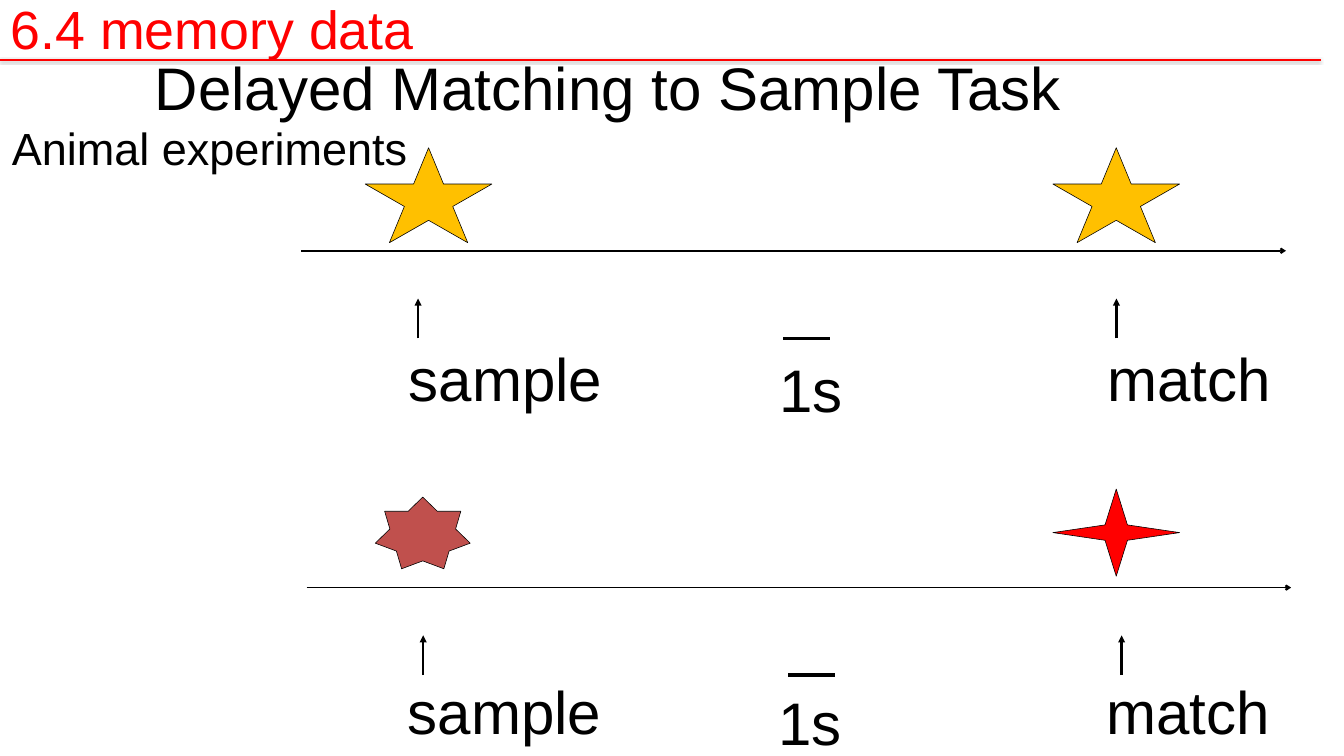
from lxml import etree
from pptx import Presentation
from pptx.dml.color import RGBColor
from pptx.enum.shapes import MSO_CONNECTOR, MSO_SHAPE
from pptx.enum.text import MSO_ANCHOR, MSO_AUTO_SIZE, PP_ALIGN
from pptx.oxml.ns import qn
from pptx.util import Cm, Pt

STRAIGHT = MSO_CONNECTOR.STRAIGHT
STAR4 = MSO_SHAPE.STAR_4_POINT
STAR5 = MSO_SHAPE.STAR_5_POINT
STAR7 = MSO_SHAPE.STAR_7_POINT
TOP = MSO_ANCHOR.TOP
FIXED = MSO_AUTO_SIZE.NONE
LEFT = PP_ALIGN.LEFT

BLACK = RGBColor(0, 0, 0)
RED = RGBColor(0xFF, 0, 0)
GOLD = RGBColor(0xFF, 0xC0, 0)
BRICK = RGBColor(0xC0, 0x50, 0x4D)


class Board:
    """Holds the slide and its style, and draws each kind of element."""

    font = "Arial"
    large = 76

    def __init__(self, slide):
        self.slide = slide

    def fill_text(self, box, text, size, color):
        frame = box.text_frame
        frame.margin_left = frame.margin_right = 0
        frame.margin_top = frame.margin_bottom = 0
        frame.word_wrap = True
        frame.auto_size = FIXED
        frame.vertical_anchor = TOP
        frame.text = text
        para = frame.paragraphs[0]
        para.alignment = LEFT
        para.font.name = self.font
        para.font.size = Pt(size)
        para.font.color.rgb = color

    def title(self, text, x, y, w, h):
        box = self.slide.shapes.title
        box.left, box.top, box.width, box.height = Cm(x), Cm(y), Cm(w), Cm(h)
        self.fill_text(box, text, self.large, BLACK)

    def text(self, text, x, y, w, h=3.23, size=large, color=BLACK):
        box = self.slide.shapes.add_textbox(Cm(x), Cm(y), Cm(w), Cm(h))
        self.fill_text(box, text, size, color)

    def line(self, x1, y1, x2, y2, width, color=BLACK, head=None, shade=False):
        link = self.slide.shapes.add_connector(
            STRAIGHT, Cm(x1), Cm(y1), Cm(x2), Cm(y2))
        link.line.width = Pt(width)
        link.line.color.rgb = color
        props = link._element.spPr
        if head:
            etree.SubElement(props.find(qn("a:ln")), qn("a:tailEnd"), type=head)
        effects = etree.SubElement(props, qn("a:effectLst"))
        if shade:
            shadow = etree.SubElement(
                effects, qn("a:outerShdw"), blurRad=str(Pt(3.1)),
                dist=str(Pt(1.6)), dir="5400000", rotWithShape="0")
            tint = etree.SubElement(shadow, qn("a:srgbClr"), val=str(BLACK))
            etree.SubElement(tint, qn("a:alpha"), val="38000")

    def star(self, kind, x, y, w, h, fill, depth=None):
        star = self.slide.shapes.add_shape(kind, Cm(x), Cm(y), Cm(w), Cm(h))
        star.shadow.inherit = False
        star.fill.solid()
        star.fill.fore_color.rgb = fill
        star.line.color.rgb = BLACK
        star.line.width = Pt(0.75)
        if depth is not None:
            star.adjustments[0] = depth

    def trial(self, x, y, left, top):
        """Draw one time axis with its cue arrows, scale bar and labels."""
        self.line(x, y, x + 43.97, y, 2.25, head="arrow")
        base = y + 3.91
        for cue in (5.21, 36.4):
            self.line(x + cue, base, x + cue, base - 1.78, 3, head="triangle")
        self.line(x + 21.51, base, x + 23.62, base, 4.5)
        self.text("sample", left, top, 10)
        self.text("1s", left + 16.54, top + 0.48, 4)
        self.text("match", left + 31.19, top, 9)


def main():
    deck = Presentation()
    deck.slide_width, deck.slide_height = Cm(60.02), Cm(33.76)
    board = Board(deck.slides.add_slide(deck.slide_layouts[5]))

    board.title("Delayed Matching to Sample Task", 6.91, 2.26, 42, 3.23)
    board.text("6.4 memory data", 0.48, -0.2, 20, 2.9, 68, RED)
    board.text("Animal experiments", 0.53, 5.38, 20, 2.4, 57)
    board.line(0, 2.67, 58.98, 2.67, 2, RED, shade=True)

    board.trial(13.46, 11.2, 18.26, 15.27)
    for x in (16.31, 47.02):
        board.star(STAR5, x, 6.6, 5.66, 4.24, GOLD)

    board.trial(13.69, 26.24, 18.21, 30.12)
    board.star(STAR7, 16.76, 22.2, 4.24, 3.2, BRICK)
    board.star(STAR4, 47.02, 21.84, 5.66, 3.89, RED, 0.125)

    deck.save("out.pptx")


if __name__ == "__main__":
    main()
